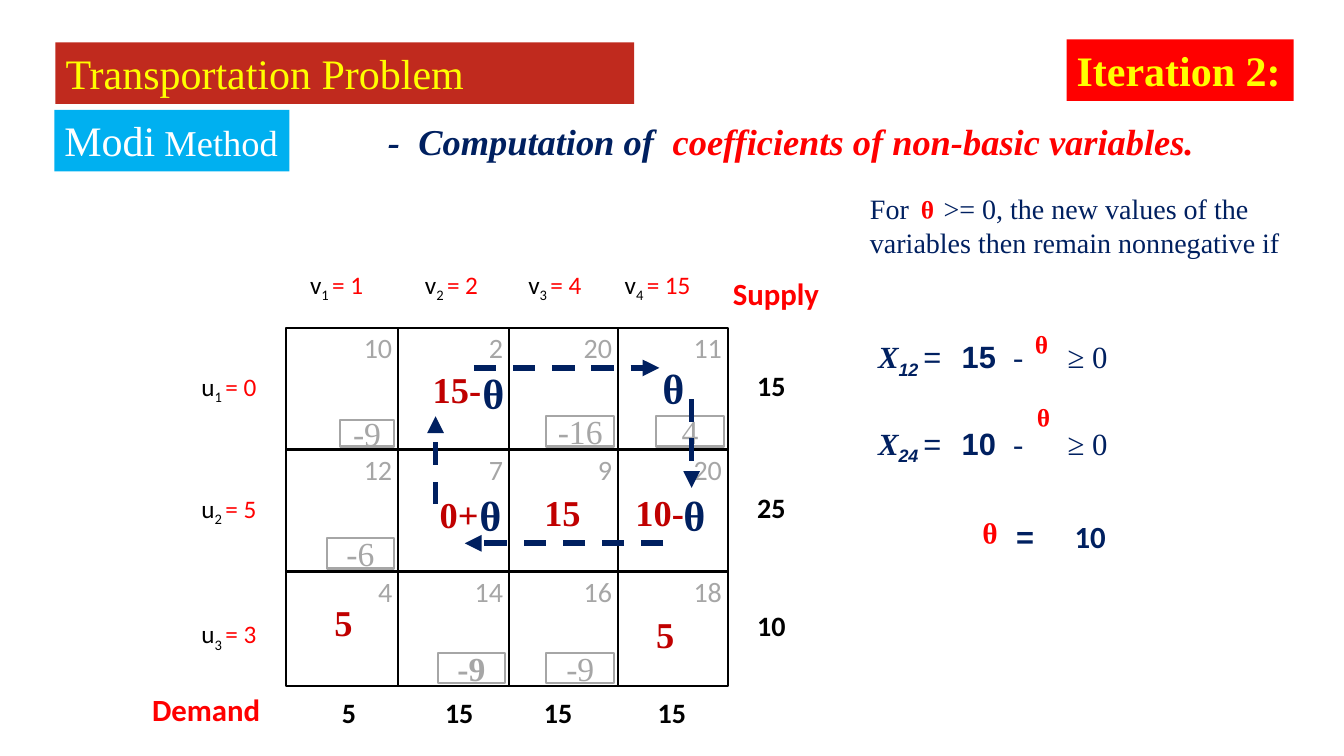
from dataclasses import dataclass

from lxml.etree import SubElement
from pptx import Presentation
from pptx.dml.color import RGBColor
from pptx.enum.dml import MSO_LINE
from pptx.enum.shapes import MSO_CONNECTOR, MSO_SHAPE
from pptx.enum.text import MSO_ANCHOR, MSO_AUTO_SIZE, PP_ALIGN
from pptx.oxml.ns import qn
from pptx.util import Inches, Pt


@dataclass(frozen=True)
class Theme:
    serif: str = "Times New Roman"
    sans: str = "Calibri"
    plain: str = "Arial"
    black: str = "000000"
    white: str = "FFFFFF"
    navy: str = "002060"
    red: str = "FF0000"
    wine: str = "C00000"
    brick: str = "C02A1E"
    sky: str = "00B0F0"
    yellow: str = "FFFF00"
    grey: str = "A6A6A6"
    label: int = 18
    small: int = 20
    body: int = 22
    mark: int = 24
    lead: int = 26
    head: int = 30
    theta: int = 50


T = Theme()
THETA = "ᶿ"
COLS = (2.84, 3.95, 5.05, 6.13, 7.22)
ROWS = (3.25, 4.46, 5.67, 6.81)
COSTS = ((10, 2, 20, 11), (12, 7, 9, 20), (4, 14, 16, 18))
SUPPLY = (15, 25, 10)
# Demand and its place across each column
DEMAND = ((5, .56), (15, .55), (15, .45), (15, .49))
U = ((0, .5), (5, .5), (3, .56))
V = ((1, .45), (2, .48), (4, .42), (15, .36))
# Row, column, text, share across and share down the cell
FLOWS = ((0, 1, "15-", .53, .5), (1, 1, "0+", .55, .53),
         (1, 2, "15", .49, .51), (1, 3, "10-", .38, .51),
         (2, 0, "5", .51, .44), (2, 3, "5", .43, .54))
SHIFTS = ((0, 3, .51, .56), (1, 3, .7, .6), (1, 1, .83, .6), (0, 1, .86, .6))
GAINS = ((0, 0, "-9"), (0, 2, "-16"), (0, 3, "4"),
         (1, 0, "-6"), (2, 1, "-9"), (2, 2, "-9"))
LOOP = ((4.7, 3.65, 6.54, 3.65), (6.86, 3.96, 6.86, 4.84),
        (6.58, 5.39, 4.61, 5.39), (4.32, 5, 4.32, 4.13))


def rgb(code):
    return RGBColor.from_string(code)


def style(font, size=None, face=None, color=None, bold=None, italic=None):
    if size:
        font.size = Pt(size)
    if face:
        font.name = face
    if color:
        font.color.rgb = rgb(color)
    if bold is not None:
        font.bold = bold
    if italic is not None:
        font.italic = italic


def write(par, parts, **look):
    """Fill a paragraph from strings or (string, changes) pairs."""
    style(par.font, **look)
    for part in parts:
        words, change = (part, {}) if isinstance(part, str) else part
        change = dict(change)
        run = par.add_run()
        run.text = words
        if change.pop("sub", False):
            run.font._element.set("baseline", "-25000")
        style(run.font, **change)


def tabs(par, *stops):
    """Set left tab stops, in inches from the text edge."""
    props = par._p.get_or_add_pPr()
    listing = props.makeelement(qn("a:tabLst"), {})
    for stop in stops:
        SubElement(listing, qn("a:tab"), pos=str(Inches(stop)), algn="l")
    first = props.find(qn("a:defRPr"))
    first.addprevious(listing)


def text(slide, box, *parts, mid=False, align=PP_ALIGN.LEFT, wrap=False, **look):
    shape = slide.shapes.add_textbox(*map(Inches, box))
    frame = shape.text_frame
    frame.word_wrap = wrap
    frame.vertical_anchor = MSO_ANCHOR.MIDDLE if mid else MSO_ANCHOR.TOP
    par = frame.paragraphs[0]
    par.alignment = align
    write(par, parts, **look)
    return shape


def label(slide, x, y, *parts, width=.65, **look):
    """Centre text on a point."""
    text(slide, (x - width / 2, y - .25, width, .5), *parts,
         mid=True, align=PP_ALIGN.CENTER, **look)


def rect(slide, box, line, fill=None):
    shape = slide.shapes.add_shape(MSO_SHAPE.RECTANGLE, *map(Inches, box))
    shape.shadow.inherit = False
    if fill:
        shape.fill.solid()
        shape.fill.fore_color.rgb = rgb(fill)
    else:
        shape.fill.background()
    shape.line.color.rgb = rgb(line)
    shape.line.width = Pt(1.5)
    return shape


def paint(shape, color):
    shape.fill.solid()
    shape.fill.fore_color.rgb = rgb(color)


def arrow(slide, ends):
    line = slide.shapes.add_connector(MSO_CONNECTOR.STRAIGHT, *map(Inches, ends))
    line.line.color.rgb = rgb(T.navy)
    line.line.width = Pt(4)
    line.line.dash_style = MSO_LINE.DASH
    SubElement(line.line._get_or_add_ln(), qn("a:tailEnd"), type="triangle")
    SubElement(line._element.spPr, qn("a:effectLst"))


def spot(row, col, x, y):
    """Turn shares of a cell into a point on the slide."""
    return (COLS[col] + x * (COLS[col + 1] - COLS[col]),
            ROWS[row] + y * (ROWS[row + 1] - ROWS[row]))


def headers(slide):
    title = slide.shapes.title
    title.left, title.top, title.width, title.height = map(
        Inches, (.55, .42, 5.74, .61))
    paint(title, T.brick)
    frame = title.text_frame
    frame.auto_size = MSO_AUTO_SIZE.NONE
    frame.vertical_anchor = MSO_ANCHOR.TOP
    frame.paragraphs[0].alignment = PP_ALIGN.LEFT
    write(frame.paragraphs[0], ["Transportation Problem"],
          size=T.head, face=T.serif, color=T.yellow)
    paint(text(slide, (.54, 1.09, 2.33, .61), "Modi",
               (" Method", {"size": T.lead}),
               size=T.head, face=T.serif, color=T.white), T.sky)
    paint(text(slide, (10.58, .39, 2.25, .61), "Iteration 2:",
               size=T.head, face=T.serif, color=T.yellow, bold=True), T.red)
    text(slide, (3.75, 1.13, 8.2, .54), "-  Computation of ",
         (" coefficients of non-basic variables.", {"color": T.red}),
         size=T.lead, face=T.serif, color=T.navy, bold=True, italic=True)


def cells(slide):
    for row, costs in enumerate(COSTS):
        for col, cost in enumerate(costs):
            left, top = COLS[col], ROWS[row]
            right = COLS[col + 1]
            rect(slide, (left, top, right - left, ROWS[row + 1] - top),
                 T.black, T.white)
            box = text(slide, (right - .55, top, .55, .4), str(cost), mid=True,
                       align=PP_ALIGN.RIGHT, wrap=True,
                       size=T.small, face=T.sans, color=T.grey)
            box.text_frame.margin_left = 0
            box.text_frame.margin_right = Inches(.06)


def margins(slide):
    """Supply, demand and multipliers around the grid."""
    total = dict(size=T.small, face=T.sans, color=T.black, bold=True)
    name = dict(size=T.body, face=T.sans, color=T.red, bold=True)
    part = dict(size=T.label, face=T.sans, color=T.black)

    def factor(x, y, letter, index, value):
        label(slide, x, y, letter, (f"{index + 1} ", {"sub": True}),
              (f"= {value}", {"color": T.red}), width=.9, **part)

    for row, (value, y) in enumerate(U):
        factor(2.27, spot(row, 0, 0, y)[1], "u", row, value)
        label(slide, 7.65, spot(row, 0, 0, .47)[1], str(SUPPLY[row]), **total)
    for col, (value, x) in enumerate(V):
        factor(spot(0, col, x, 0)[0], 2.84, "v", col, value)
        need, x = DEMAND[col]
        label(slide, spot(0, col, x, 0)[0], 7.07, str(need), **total)
    text(slide, (7.17, 2.68, 1.25, .47), "Supply", **name)
    text(slide, (1.41, 6.8, 1.44, .47), "Demand", **name)


def flows(slide):
    for row, col, words, x, y in FLOWS:
        label(slide, *spot(row, col, x, y), words, width=.76,
              size=T.lead, face=T.serif, color=T.wine, bold=True)
    for row, col, words in GAINS:
        wide, high = (.54, .26) if (row, col) == (0, 0) else (.67, .3)
        box = rect(slide, (COLS[col + 1] - .04 - wide, ROWS[row + 1] - .03 - high,
                           wide, high), T.grey)
        frame = box.text_frame
        frame.word_wrap = False
        frame.vertical_anchor = MSO_ANCHOR.MIDDLE
        frame.paragraphs[0].alignment = PP_ALIGN.CENTER
        write(frame.paragraphs[0], [(words, {"color": T.grey})], size=T.mark,
              face=T.serif, bold=(row, col) == (2, 1))
    for ends in LOOP:
        arrow(slide, ends)
    for row, col, x, y in SHIFTS:
        label(slide, *spot(row, col, x, y), THETA,
              size=T.theta, face=T.serif, color=T.navy, bold=True)


def limits(slide):
    """Conditions on theta at the right."""
    note = text(slide, (8.53, 1.85, 4.6, 1.34),
                "For\t>= 0, the new values of the variables then remain "
                "nonnegative if", wrap=True,
                size=T.small, face=T.serif, color=T.navy)
    tabs(note.text_frame.paragraphs[0], .73)
    frame = slide.shapes.add_textbox(*map(Inches, (8.61, 2.55, 2.95, 2.2))).text_frame
    frame.word_wrap = True
    frame.margin_top = Inches(.8)
    for index, (name, value) in enumerate((("12 ", "15"), ("24 ", "10"))):
        par = frame.add_paragraph() if index else frame.paragraphs[0]
        par.space_before = Pt(32 * index)
        bold = {"face": T.plain, "bold": True}
        write(par, [("X", {"bold": True, "italic": True}),
                    (name, {**bold, "italic": True, "sub": True}),
                    ("=\t", {"face": T.plain}), (f"{value}\t", bold), "-\t≥ 0"],
              size=T.body, face=T.serif, color=T.navy)
        tabs(par, .83, 1.34, 1.88)
    for x, y, size in ((9.04, 2.12, 30), (10.17, 3.46, 30),
                       (10.19, 4.18, 30), (9.65, 5.34, 35)):
        text(slide, (x, y - .15, .54, .3), THETA, mid=True,
             size=size, face=T.serif, color=T.red, bold=True)
    for x, words, face in ((9.98, "=", T.plain), (10.56, "10", T.sans)):
        text(slide, (x, 5.09, .54, .47), words,
             size=T.body, face=face, color=T.navy, bold=True)


def main():
    deck = Presentation()
    deck.slide_width, deck.slide_height = Inches(13.33), Inches(7.5)
    slide = deck.slides.add_slide(deck.slide_layouts[5])
    for draw in (headers, cells, margins, flows, limits):
        draw(slide)
    deck.save("out.pptx")


if __name__ == "__main__":
    main()
